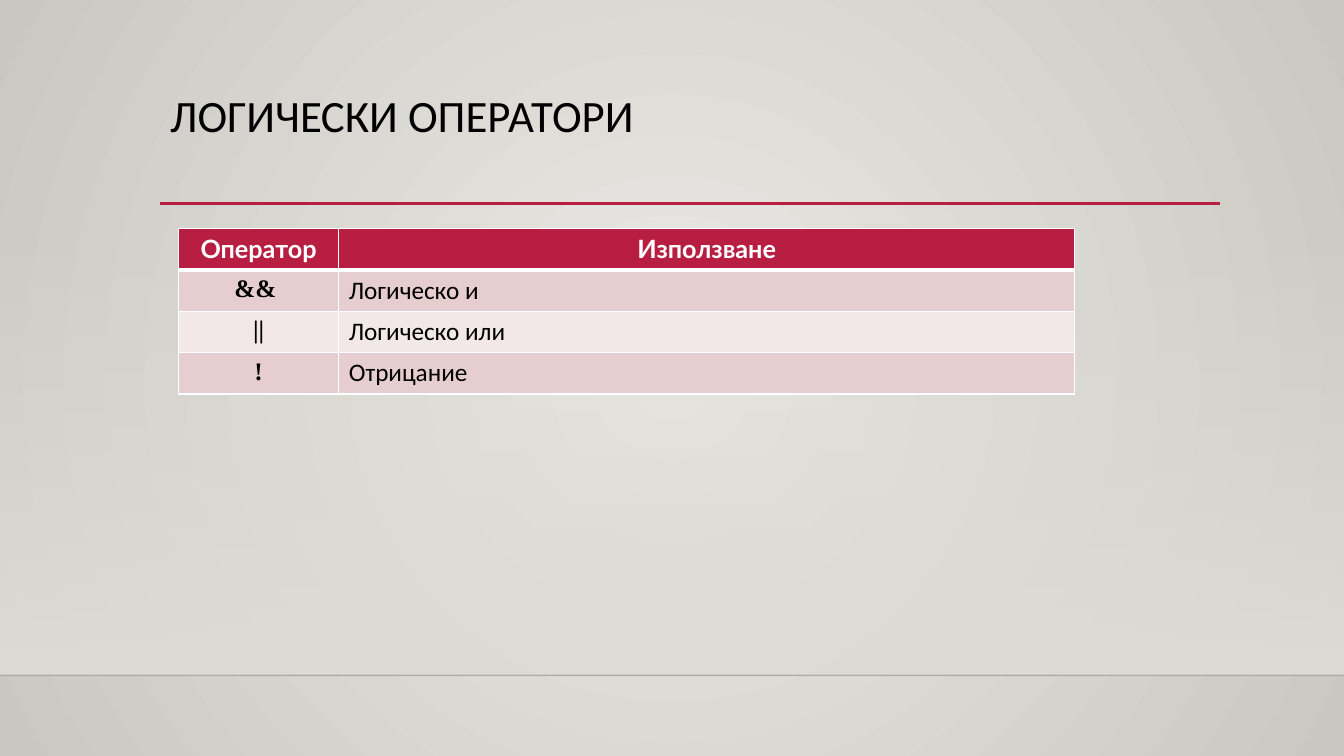
from lxml import etree
from pptx import Presentation
from pptx.dml.color import RGBColor
from pptx.enum.shapes import MSO_CONNECTOR, MSO_SHAPE
from pptx.enum.text import MSO_ANCHOR, PP_ALIGN
from pptx.oxml import parse_xml
from pptx.oxml.ns import qn
from pptx.util import Inches, Pt

LINE, RECT = MSO_CONNECTOR.STRAIGHT, MSO_SHAPE.RECTANGLE
TOP, LEFT, CENTER = MSO_ANCHOR.TOP, PP_ALIGN.LEFT, PP_ALIGN.CENTER

BLACK = RGBColor(0x00, 0x00, 0x00)
WHITE = RGBColor(0xFF, 0xFF, 0xFF)
CRIMSON = RGBColor(0xB7, 0x1E, 0x42)
PINK = RGBColor(0xE6, 0xCD, 0xCF)
PALE_PINK = RGBColor(0xF3, 0xE8, 0xE9)
LIGHT = RGBColor(0xEC, 0xEA, 0xE7)
DARK = RGBColor(0xCA, 0xC7, 0xC1)
FLOOR = RGBColor(0xDF, 0xDB, 0xD5)

A_NS = 'xmlns:a="http://schemas.openxmlformats.org/drawingml/2006/main"'
ROWS = [
    ("Оператор", "Използване"),
    ("&& ", "Логическо и"),
    ("||", "Логическо или "),
    ("!", "Отрицание "),
]
COL_WIDTHS = (Inches(1.59), Inches(7.3))
ROW_H = Inches(0.41)
MARGIN = Inches(1.59)
FLOOR_Y = Inches(6.7)


def add_rule(x1, x2, y, color, width):
    """Draw a horizontal line without shadow and return it."""
    rule = s.shapes.add_connector(LINE, x1, y, x2, y)
    rule.line.color.rgb = color
    rule.line.width = Pt(width)
    etree.SubElement(rule._element.spPr, qn("a:effectLst"))
    return rule


def set_alpha(color_parent, percent):
    """Set the opacity of every colour inside an element."""
    for clr in color_parent.iter(qn("a:srgbClr")):
        etree.SubElement(clr, qn("a:alpha")).set("val", str(percent * 1000))


prs = Presentation()
prs.slide_width, prs.slide_height = Inches(13.33), Inches(7.5)
s = prs.slides.add_slide(prs.slide_layouts[6])

# Radial background
fill = s.background.fill
fill.gradient()
for stop, color in zip(fill.gradient_stops, (LIGHT, DARK)):
    stop.color.rgb = color
lin = next(s._element.iter(qn("a:lin")))
lin.getparent().replace(lin, parse_xml(
    f'<a:path {A_NS} path="circle">'
    '<a:fillToRect l="50000" t="50000" r="50000" b="50000"/></a:path>'))

# Wall that fades in down to the floor line
wall_top = Inches(2.21)
wall = s.shapes.add_shape(RECT, 0, wall_top, prs.slide_width, FLOOR_Y - wall_top)
wall.shadow.inherit = False
wall.line.fill.background()
wall.fill.gradient()
wall.fill.gradient_angle = 270
for stop in wall.fill.gradient_stops:
    stop.color.rgb = FLOOR
set_alpha(next(wall._element.iter(qn("a:gs"))), 0)

floor = add_rule(0, prs.slide_width, FLOOR_Y, BLACK, 1)
set_alpha(floor._element.spPr, 20)
add_rule(MARGIN, Inches(12.1), Inches(2.02), CRIMSON, 2.5)

# Title
title = s.shapes.add_textbox(MARGIN, Inches(0.88), Inches(10.5), Inches(1.15))
tf = title.text_frame
tf.word_wrap = True
tf.vertical_anchor = TOP
tf.text = "ЛОГИЧЕСКИ ОПЕРАТОРИ"
p = tf.paragraphs[0]
p.line_spacing = 0.9
font = p.runs[0].font
font.name, font.size, font.color.rgb = "Calibri", Pt(32), BLACK

# Operator table
table = s.shapes.add_table(len(ROWS), len(COL_WIDTHS), Inches(1.77), Inches(2.27),
                           sum(COL_WIDTHS), ROW_H * len(ROWS)).table
for column, width in zip(table.columns, COL_WIDTHS):
    column.width = width
for i, texts in enumerate(ROWS):
    table.rows[i].height = ROW_H
    for j, text in enumerate(texts):
        header, operator = i == 0, j == 0
        cell = table.cell(i, j)
        cell.fill.solid()
        cell.fill.fore_color.rgb = CRIMSON if header else PINK if i % 2 else PALE_PINK
        cell.text_frame.text = text
        p = cell.text_frame.paragraphs[0]
        p.alignment = CENTER if header or operator else LEFT
        font = p.runs[0].font
        font.name = "Lato" if header else "Times New Roman" if operator else "Calibri"
        font.size = Pt(18)
        font.bold = header or operator
        font.color.rgb = WHITE if header else BLACK
        tcPr = cell._tc.get_or_add_tcPr()
        for k, side in enumerate("LRTB"):
            thick = (i, side) in ((0, "B"), (1, "T"))
            tcPr.insert(k, parse_xml(
                f'<a:ln{side} {A_NS} w="{Pt(3 if thick else 1)}"><a:solidFill>'
                f'<a:srgbClr val="{WHITE}"/></a:solidFill></a:ln{side}>'))

prs.save("out.pptx")
